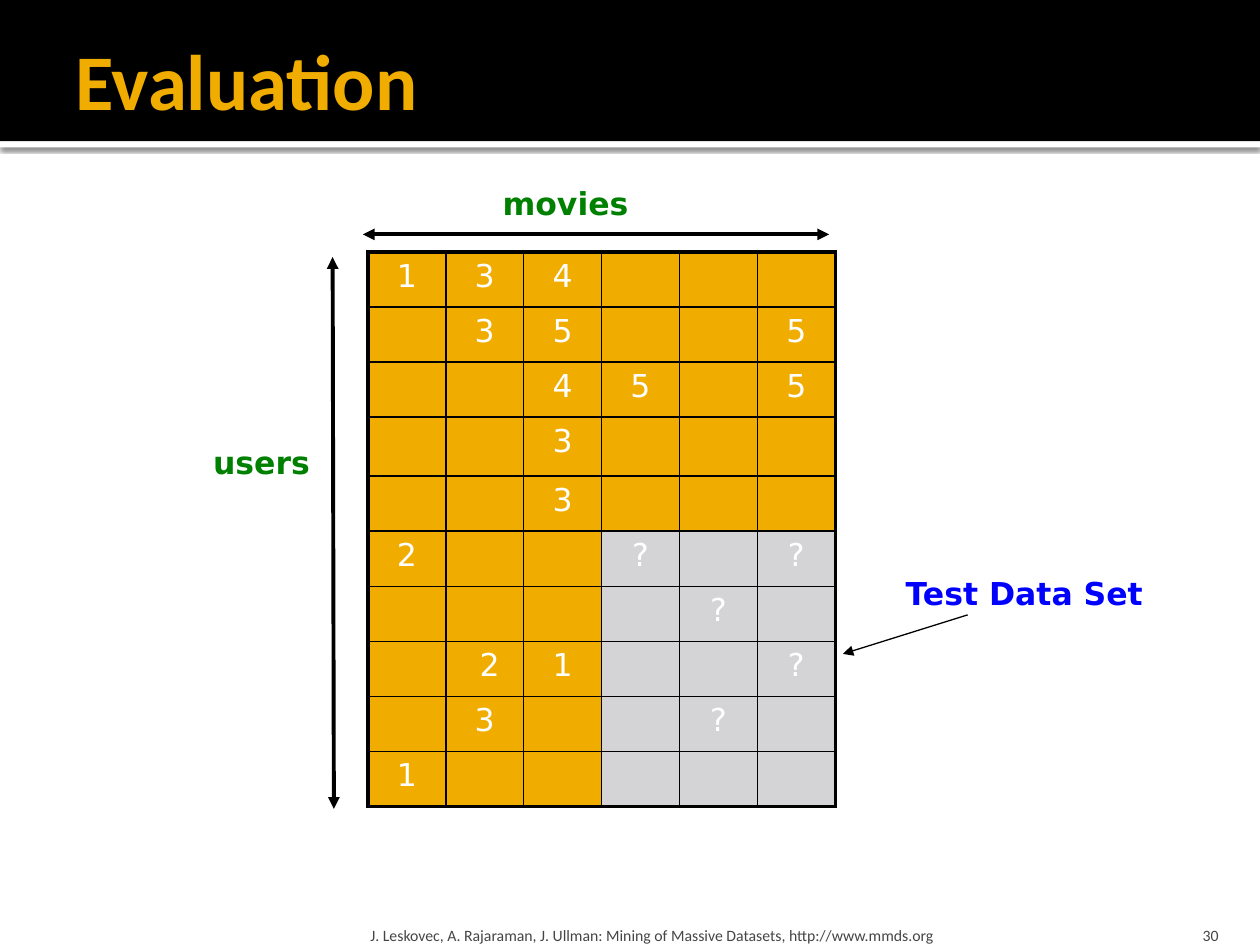
from dataclasses import dataclass

from lxml.etree import SubElement
from pptx import Presentation
from pptx.dml.color import RGBColor
from pptx.enum.shapes import MSO_CONNECTOR, MSO_SHAPE
from pptx.enum.text import MSO_ANCHOR, MSO_AUTO_SIZE, PP_ALIGN
from pptx.oxml.ns import qn
from pptx.util import Inches, Pt


@dataclass(frozen=True)
class Theme:
    heading_font: str = "Calibri"
    body_font: str = "DejaVu Sans"
    black: str = "000000"
    white: str = "FFFFFF"
    gold: str = "F0AD00"
    grey: str = "D4D4D6"
    green: str = "008000"
    blue: str = "0000FF"
    footer: str = "454545"
    title_size: float = 45
    body_size: float = 18
    footer_size: float = 9
    thick: float = 2.25
    medium: float = 1
    thin: float = 0.75


RATINGS = [
    ["1", "3", "4", "", "", ""],
    ["", "3", "5", "", "", "5"],
    ["", "", "4", "5", "", "5"],
    ["", "", "3", "", "", ""],
    ["", "", "3", "", "", ""],
    ["2", "", "", "?", "", "?"],
    ["", "", "", "", "?", ""],
    ["", " 2", "1", "", "", "?"],
    ["", "3", "", "", "?", ""],
    ["1", "", "", "", "", ""],
]
TEST_ROW, TEST_COLUMN = 5, 3
TALL_ROW, TALL_HEIGHT = 3, 0.47


class SlideBuilder:
    def __init__(self, slide, theme):
        self.slide = slide
        self.theme = theme

    def style(self, paragraph, size, color, font, bold=False, align=PP_ALIGN.LEFT):
        paragraph.alignment = align
        paragraph.font.name = font
        paragraph.font.size = Pt(size)
        paragraph.font.bold = bold
        paragraph.font.color.rgb = RGBColor.from_string(color)

    def frame(self, text_frame, insets, anchor):
        text_frame.margin_left, text_frame.margin_top = map(Inches, insets[:2])
        text_frame.margin_right, text_frame.margin_bottom = map(Inches, insets[2:])
        text_frame.vertical_anchor = anchor

    def band(self, top, height, color, shadow=False):
        shape = self.slide.shapes.add_shape(
            MSO_SHAPE.RECTANGLE, 0, Inches(top), Inches(10), Inches(height))
        shape.fill.solid()
        shape.fill.fore_color.rgb = RGBColor.from_string(color)
        shape.line.fill.background()
        shape.shadow.inherit = False
        if shadow:
            effects = shape._element.spPr.find(qn("a:effectLst"))
            outer = SubElement(effects, qn("a:outerShdw"), blurRad=str(Pt(2.5)),
                               dist=str(Pt(0.8)), dir="5400000", rotWithShape="0")
            color_node = SubElement(outer, qn("a:srgbClr"), val=self.theme.black)
            SubElement(color_node, qn("a:alpha"), val="60000")

    def title(self, text):
        title = self.slide.shapes.title
        title.left, title.top = Inches(0.5), Inches(0.17)
        title.width, title.height = Inches(9), Inches(0.92)
        title.text_frame.text = text
        title.text_frame.auto_size = MSO_AUTO_SIZE.NONE
        self.frame(title.text_frame, (0.1, 0.05, 0.05, 0.05), MSO_ANCHOR.MIDDLE)
        self.style(title.text_frame.paragraphs[0], self.theme.title_size,
                   self.theme.gold, self.theme.heading_font, bold=True)
        # The title placeholder comes first; bring it in front of the bands.
        self.slide.shapes._spTree.append(title._element)

    def text_box(self, text, left, top, width, height, wrap):
        box = self.slide.shapes.add_textbox(*map(Inches, (left, top, width, height)))
        box.text_frame.word_wrap = wrap
        box.text_frame.text = text
        return box.text_frame

    def label(self, text, left, top, width, color, wrap=False, align=PP_ALIGN.LEFT):
        text_frame = self.text_box(text, left, top, width, 0.4, wrap)
        text_frame.auto_size = MSO_AUTO_SIZE.SHAPE_TO_FIT_TEXT
        self.style(text_frame.paragraphs[0], self.theme.body_size, color,
                   self.theme.body_font, bold=True, align=align)

    def footer(self, text, left, width, side_inset, align=PP_ALIGN.LEFT):
        text_frame = self.text_box(text, left, 7.2, width, 0.3, wrap=True)
        self.frame(text_frame, (side_inset, 0.05, side_inset, 0), MSO_ANCHOR.BOTTOM)
        self.style(text_frame.paragraphs[0], self.theme.footer_size,
                   self.theme.footer, self.theme.heading_font, align=align)

    def arrow(self, start, end, width, both_ends=False):
        connector = self.slide.shapes.add_connector(
            MSO_CONNECTOR.STRAIGHT, *map(Inches, (*start, *end)))
        connector.line.width = Pt(width)
        connector.line.color.rgb = RGBColor.from_string(self.theme.black)
        line = connector.line._get_or_add_ln()
        if both_ends:
            SubElement(line, qn("a:headEnd"), type="triangle")
        SubElement(line, qn("a:tailEnd"), type="triangle")
        SubElement(connector._element.spPr, qn("a:effectLst"))

    def cell_borders(self, cell, outer_sides):
        """Draw four borders, thick on the sides that lie on the table's edge."""
        properties = cell._tc.get_or_add_tcPr()
        for index, side in enumerate("LRTB"):
            width = self.theme.thick if side in outer_sides else self.theme.medium
            border = properties.makeelement(qn(f"a:ln{side}"), {"w": str(Pt(width))})
            properties.insert(index, border)
            fill = SubElement(border, qn("a:solidFill"))
            SubElement(fill, qn("a:srgbClr"), val=self.theme.black)

    def rating_table(self, ratings, left, top, width, height):
        row_count, column_count = len(ratings), len(ratings[0])
        table = self.slide.shapes.add_table(
            row_count, column_count, *map(Inches, (left, top, width, height))).table
        table.first_row = table.horz_banding = False
        for column in table.columns:
            column.width = Inches(width / column_count)
        for row in table.rows:
            row.height = Inches((height - TALL_HEIGHT) / (row_count - 1))
        table.rows[TALL_ROW].height = Inches(TALL_HEIGHT)

        for row, values in enumerate(ratings):
            for column, value in enumerate(values):
                cell = table.cell(row, column)
                is_test = row >= TEST_ROW and column >= TEST_COLUMN
                cell.fill.solid()
                cell.fill.fore_color.rgb = RGBColor.from_string(
                    self.theme.grey if is_test else self.theme.gold)
                edges = {"L": column == 0, "R": column == column_count - 1,
                         "T": row == 0, "B": row == row_count - 1}
                self.cell_borders(cell, [side for side in edges if edges[side]])
                cell.text = value
                self.style(cell.text_frame.paragraphs[0], self.theme.body_size,
                           self.theme.white, self.theme.body_font,
                           align=PP_ALIGN.CENTER)


def main():
    presentation = Presentation()
    presentation.slide_width, presentation.slide_height = Inches(10), Inches(7.5)
    slide = presentation.slides.add_slide(presentation.slide_layouts[5])
    theme = Theme()
    builder = SlideBuilder(slide, theme)

    builder.band(1.12, 0.05, theme.white, shadow=True)
    builder.band(0, 1.12, theme.black)
    builder.title("Evaluation")

    builder.rating_table(RATINGS, 2.92, 2, 3.71, 4.4)
    builder.label("Test Data Set", 7.09, 4.51, 2.1, theme.blue)
    builder.label("users", 1.1, 3.47, 1.95, theme.green, wrap=True,
                  align=PP_ALIGN.CENTER)
    builder.arrow((2.64, 2.04), (2.65, 6.42), theme.thick, both_ends=True)
    builder.arrow((2.88, 1.86), (6.58, 1.86), theme.thick, both_ends=True)
    builder.arrow((7.68, 4.88), (6.69, 5.19), theme.thin)
    builder.label("movies", 3.89, 1.41, 1.21, theme.green)

    builder.footer("J. Leskovec, A. Rajaraman, J. Ullman: Mining of Massive Datasets, "
                   "http://www.mmds.org", 2.89, 6.02, 0.05)
    builder.footer("30", 8.97, 0.8, 0.1, align=PP_ALIGN.RIGHT)
    presentation.save("out.pptx")


if __name__ == "__main__":
    main()
